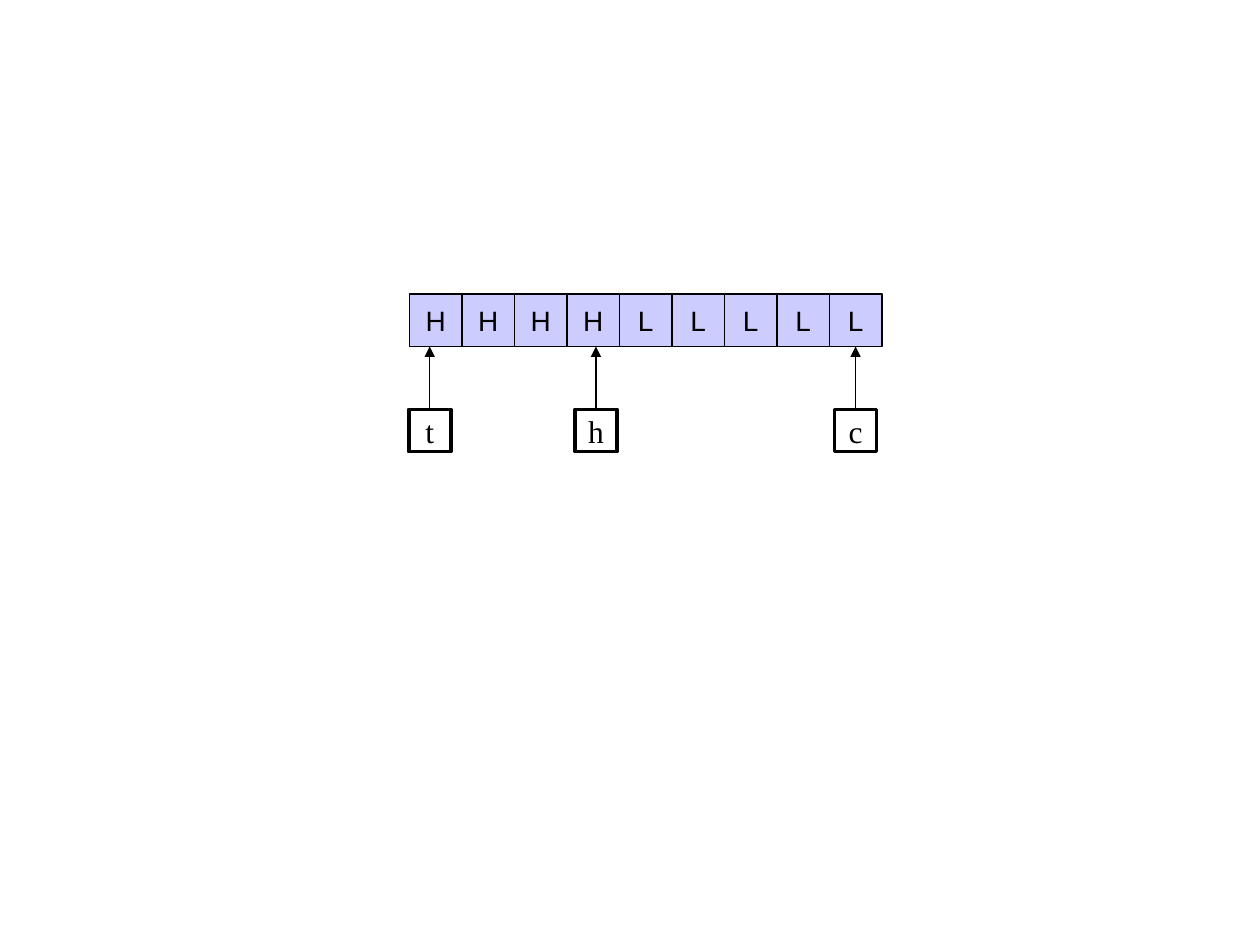
import dataclasses
import pptx
import pptx.dml.color
import pptx.enum.shapes
import pptx.enum.text
import pptx.oxml
import pptx.oxml.ns
import pptx.util

Inches = pptx.util.Inches
Pt = pptx.util.Pt


@dataclasses.dataclass(frozen=True)
class Theme:
    ink: str = "000000"
    cell_fill: str = "CCCCFF"
    cell_font: str = "Arial"
    cell_size: int = 16
    pointer_font: str = "Times New Roman"
    pointer_size: int = 18
    thin: float = 0.75
    thick: float = 2.25


def rgb(value):
    return pptx.dml.color.RGBColor.from_string(value)


def write_text(tf, text, *, font, size, color):
    tf.word_wrap = False
    tf.vertical_anchor = pptx.enum.text.MSO_ANCHOR.MIDDLE
    p = tf.paragraphs[0]
    p.alignment = pptx.enum.text.PP_ALIGN.CENTER
    r = p.add_run()
    r.text = text
    r.font.name = font
    r.font.size = Pt(size)
    r.font.color.rgb = rgb(color)


class ArrayDiagram:
    def __init__(self, s, theme):
        self.s = s
        self.theme = theme

    def box(self, text, left, top, side, *, line, font, size, fill=None):
        sp = self.s.shapes.add_shape(
            pptx.enum.shapes.MSO_SHAPE.RECTANGLE,
            Inches(left), Inches(top), Inches(side), Inches(side))
        sp.shadow.inherit = False
        if fill:
            sp.fill.solid()
            sp.fill.fore_color.rgb = rgb(fill)
        else:
            sp.fill.background()
        sp.line.color.rgb = rgb(self.theme.ink)
        sp.line.width = Pt(line)
        write_text(sp.text_frame, text, font=font, size=size, color=self.theme.ink)

    def cell(self, text, left, top, side):
        t = self.theme
        self.box(text, left, top, side, line=t.thin, font=t.cell_font,
                 size=t.cell_size, fill=t.cell_fill)

    def pointer(self, text, center, top, side, target):
        t = self.theme
        self.box(text, center - side / 2, top, side, line=t.thick,
                 font=t.pointer_font, size=t.pointer_size)
        self.arrow(center, top, target)

    def arrow(self, x, start, end):
        c = self.s.shapes.add_connector(
            pptx.enum.shapes.MSO_CONNECTOR.STRAIGHT,
            Inches(x), Inches(start), Inches(x), Inches(end))
        c.line.color.rgb = rgb(self.theme.ink)
        c.line.width = Pt(self.theme.thin)
        tail = pptx.oxml.parse_xml(
            f'<a:tailEnd {pptx.oxml.ns.nsdecls("a")} type="triangle"/>')
        c.line._get_or_add_ln().append(tail)
        effects = pptx.oxml.parse_xml(
            f'<a:effectLst {pptx.oxml.ns.nsdecls("a")}/>')
        c._element.spPr.append(effects)


def main():
    prs = pptx.Presentation()
    prs.slide_width, prs.slide_height = Inches(10), Inches(7.5)
    s = prs.slides.add_slide(prs.slide_layouts[6])
    diagram = ArrayDiagram(s, Theme())

    row_left, row_bottom, cell_side = 3.25, 2.75, 5 / 12
    for i, letter in enumerate("HHHHLLLLL"):
        diagram.cell(letter, row_left + i * cell_side, row_bottom - cell_side, cell_side)

    for name, center in (("t", 3.41), ("h", 4.73), ("c", 6.79)):
        diagram.pointer(name, center, 3.25, 1 / 3, row_bottom)

    prs.save("out.pptx")


if __name__ == "__main__":
    main()
